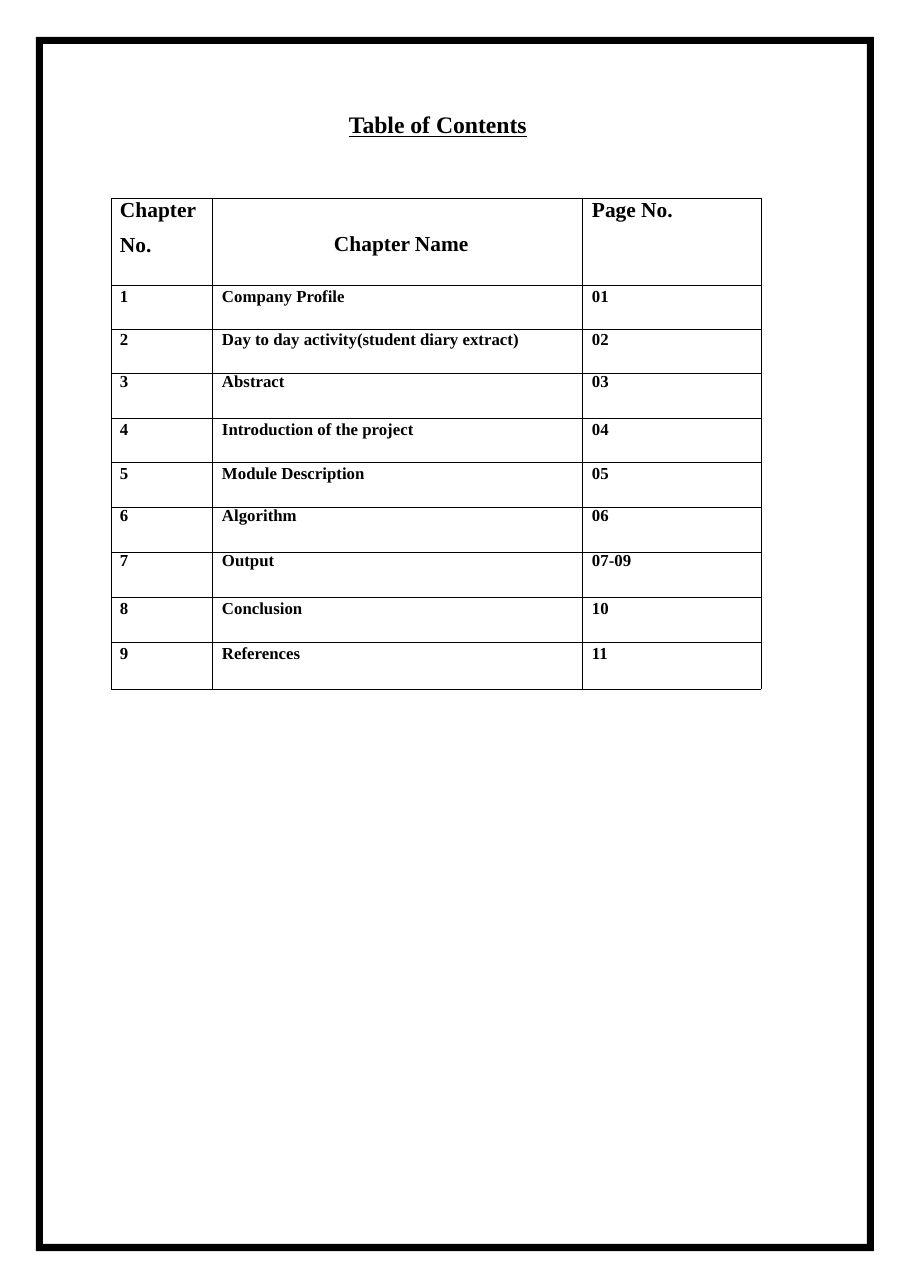
from lxml.etree import SubElement
from pptx import Presentation
from pptx.dml.color import RGBColor
from pptx.enum.shapes import MSO_SHAPE
from pptx.oxml.ns import qn
from pptx.util import Pt

# Content
TITLE = "Table of Contents"
HEADER = ("Chapter\nNo.", "Chapter Name", "Page No.")
CHAPTERS = [
    ("Company Profile", "01"),
    ("Day to day activity(student diary extract)", "02"),
    ("Abstract", "03"),
    ("Introduction of the project", "04"),
    ("Module Description", "05"),
    ("Algorithm", "06"),
    ("Output", "07-09"),
    ("Conclusion", "10"),
    ("References", "11"),
]

# Layout in px, type in points
PX = 8320
SLIDE_SIZE = (910, 1288)
TITLE_BOX = (348, 108, 180, 31)
TABLE_CORNER = (111, 198)
COLUMN_WIDTHS = (101, 370, 179)
ROW_HEIGHTS = (87, 44, 44, 45, 44, 45, 45, 45, 46, 46)
INDENTS = (9, 10, 10)
NAME_HEADER_MARGINS = (122, 34)
LINE_SPACINGS = (15.9, 13.7, 13.3, None, 13.7, 13.7, None, None, 13.7, 13.4)
THICK_RULE_BELOW = 8
FRAME_BOX = (36, 37, 838, 1214)
FRAME_THICKNESS = 7
FONT = "Times New Roman"
COLOURS = {"ink": "000000"}
INK = RGBColor.from_string(COLOURS["ink"])


def px(*lengths):
    return [length * PX for length in lengths]


def set_margins(target, left=0, top=0):
    target.margin_left, target.margin_top = px(left, top)
    target.margin_right = target.margin_bottom = 0


def format_text(text_frame, size, underline=False):
    for paragraph in text_frame.paragraphs:
        for run in paragraph.runs:
            font = run.font
            font.name, font.size, font.bold = FONT, Pt(size), True
            font.color.rgb = INK
            if underline:
                font.underline = True


def set_borders(cell, widths):
    properties = cell._tc.get_or_add_tcPr()
    for position, (side, width) in enumerate(widths.items()):
        line = SubElement(properties, qn(f"a:ln{side}"), w=str(int(Pt(width))))
        fill = SubElement(line, qn("a:solidFill"))
        SubElement(fill, qn("a:srgbClr"), val=COLOURS["ink"])
        properties.insert(position, line)


def add_title(slide):
    text_frame = slide.shapes.add_textbox(*px(*TITLE_BOX)).text_frame
    text_frame.word_wrap = True
    set_margins(text_frame, 1, 2)
    text_frame.text = TITLE
    format_text(text_frame, 15.5, underline=True)


def add_contents_table(slide):
    rows = [HEADER] + [(str(number), *chapter)
                       for number, chapter in enumerate(CHAPTERS, 1)]
    size = (sum(COLUMN_WIDTHS), sum(ROW_HEIGHTS))
    table = slide.shapes.add_table(
        len(rows), len(HEADER), *px(*TABLE_CORNER, *size)).table
    table.first_row = table.horz_banding = False
    for column, width in zip(table.columns, px(*COLUMN_WIDTHS)):
        column.width = width
    for row, height in zip(table.rows, px(*ROW_HEIGHTS)):
        row.height = height

    for row_index, row in enumerate(rows):
        for column_index, text in enumerate(row):
            cell = table.cell(row_index, column_index)
            is_name_header = text == HEADER[1]
            if is_name_header:
                set_margins(cell, *NAME_HEADER_MARGINS)
            else:
                set_margins(cell, INDENTS[column_index])
            cell.text_frame.text = text
            format_text(cell.text_frame, 11 if row_index else 14)

            first, *others = cell.text_frame.paragraphs
            spacing = LINE_SPACINGS[row_index]
            if spacing and not is_name_header:
                first.line_spacing = Pt(spacing)
            for paragraph in others:
                paragraph.space_before = Pt(7.3)

            cell.fill.background()
            set_borders(cell, {
                "L": 0.5,
                "R": 0.5,
                "T": 0.75 if row_index == THICK_RULE_BELOW + 1 else 0.5,
                "B": 0.75 if row_index == THICK_RULE_BELOW else 0.5,
            })


def add_page_frame(slide):
    frame = slide.shapes.add_shape(MSO_SHAPE.FRAME, *px(*FRAME_BOX))
    frame.adjustments[0] = FRAME_THICKNESS / FRAME_BOX[2]
    frame.shadow.inherit = False
    frame.fill.solid()
    frame.fill.fore_color.rgb = INK
    frame.line.fill.background()


def main():
    presentation = Presentation()
    presentation.slide_width, presentation.slide_height = px(*SLIDE_SIZE)
    slide = presentation.slides.add_slide(presentation.slide_layouts[6])
    add_title(slide)
    add_contents_table(slide)
    add_page_frame(slide)
    presentation.save("out.pptx")


if __name__ == "__main__":
    main()
